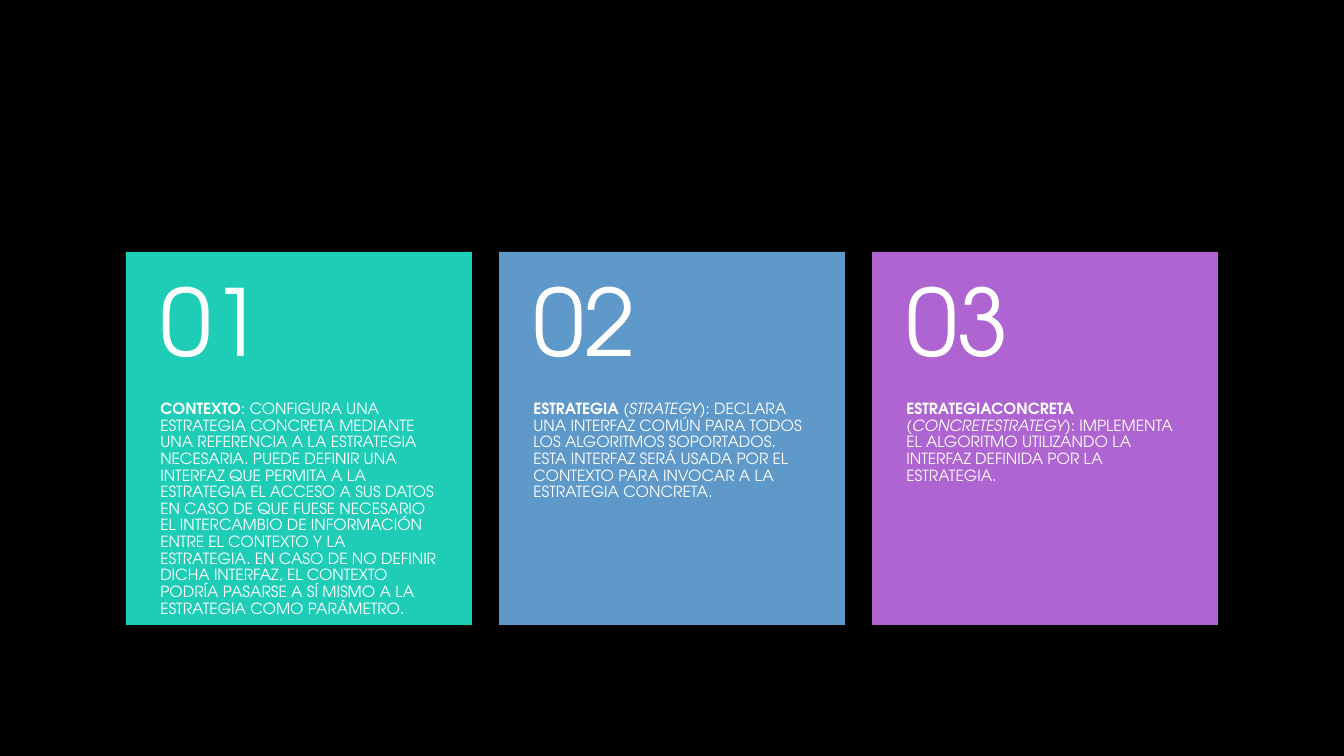
from dataclasses import dataclass

from pptx import Presentation
from pptx.dml.color import RGBColor
from pptx.enum import shapes, text
from pptx.slide import Slide
from pptx.util import Inches, Pt


@dataclass(frozen=True)
class Theme:
    font: str = "TeX Gyre Adventor"
    background: str = "000000"
    ink: str = "FFFFFF"
    teal: str = "1FCDB6"
    blue: str = "5F99C9"
    purple: str = "AE65D1"
    number_size: int = 66
    body_size: int = 11


@dataclass(frozen=True)
class Phrase:
    words: str
    bold: bool = False
    italic: bool = False


@dataclass(frozen=True)
class Card:
    color: str
    phrases: tuple[Phrase, ...]


@dataclass(frozen=True)
class Band:
    """A horizontal strip of a card and how its text sits there."""
    top: float
    height: float
    inset_top: float
    inset_bottom: float
    anchor: text.MSO_ANCHOR
    size: int


THEME = Theme()
CARD_LEFT, CARD_TOP, CARD_WIDTH, CARD_HEIGHT = 1.25, 2.5, 3.43, 3.7
CARD_PITCH = 3.7
SIDE_INSET = 0.34
NUMBER_HEIGHT = 1.48

NUMBER_BAND = Band(CARD_TOP, NUMBER_HEIGHT, 0.18, 0.18,
                   text.MSO_ANCHOR.MIDDLE, THEME.number_size)
BODY_BAND = Band(CARD_TOP + NUMBER_HEIGHT, CARD_HEIGHT - NUMBER_HEIGHT, 0, 0.36,
                 text.MSO_ANCHOR.TOP, THEME.body_size)

CARDS = (
    Card(THEME.teal, (
        Phrase("CONTEXTO", bold=True),
        Phrase(": CONFIGURA UNA ESTRATEGIA CONCRETA MEDIANTE UNA REFERENCIA A LA "
               "ESTRATEGIA NECESARIA. PUEDE DEFINIR UNA INTERFAZ QUE PERMITA A LA "
               "ESTRATEGIA EL ACCESO A SUS DATOS EN CASO DE QUE FUESE NECESARIO EL "
               "INTERCAMBIO DE INFORMACIÓN ENTRE EL CONTEXTO Y LA ESTRATEGIA. EN "
               "CASO DE NO DEFINIR DICHA INTERFAZ, EL CONTEXTO PODRÍA PASARSE A SÍ "
               "MISMO A LA ESTRATEGIA COMO PARÁMETRO."),
    )),
    Card(THEME.blue, (
        Phrase("ESTRATEGIA", bold=True),
        Phrase(" ("),
        Phrase("STRATEGY", italic=True),
        Phrase("): DECLARA UNA INTERFAZ COMÚN PARA TODOS LOS ALGORITMOS SOPORTADOS. "
               "ESTA INTERFAZ SERÁ USADA POR EL CONTEXTO PARA INVOCAR A LA "
               "ESTRATEGIA CONCRETA."),
    )),
    Card(THEME.purple, (
        Phrase("ESTRATEGIACONCRETA", bold=True),
        Phrase(" ("),
        Phrase("CONCRETESTRATEGY", italic=True),
        Phrase("): IMPLEMENTA EL ALGORITMO UTILIZANDO LA INTERFAZ DEFINIDA POR LA "
               "ESTRATEGIA."),
    )),
)


def add_panel(slide: Slide, left: float, color: str) -> None:
    panel = slide.shapes.add_shape(
        shapes.MSO_SHAPE.RECTANGLE, Inches(left), Inches(CARD_TOP),
        Inches(CARD_WIDTH), Inches(CARD_HEIGHT))
    panel.shadow.inherit = False
    panel.fill.solid()
    panel.fill.fore_color.rgb = RGBColor.from_string(color)
    panel.line.fill.background()


def add_band_text(slide: Slide, left: float, band: Band,
                  phrases: tuple[Phrase, ...]) -> None:
    frame = slide.shapes.add_textbox(
        Inches(left), Inches(band.top), Inches(CARD_WIDTH), Inches(band.height)
    ).text_frame
    frame.word_wrap = True
    frame.vertical_anchor = band.anchor
    frame.margin_left = frame.margin_right = Inches(SIDE_INSET)
    frame.margin_top = Inches(band.inset_top)
    frame.margin_bottom = Inches(band.inset_bottom)
    paragraph = frame.paragraphs[0]
    paragraph.line_spacing = 0.9
    for phrase in phrases:
        run = paragraph.add_run()
        run.text = phrase.words
        run.font.name = THEME.font
        run.font.size = Pt(band.size)
        run.font.bold = phrase.bold
        run.font.italic = phrase.italic
        run.font.color.rgb = RGBColor.from_string(THEME.ink)


def main() -> None:
    deck = Presentation()
    deck.slide_width, deck.slide_height = Inches(13.33), Inches(7.5)
    slide = deck.slides.add_slide(deck.slide_layouts.get_by_name("Blank"))
    slide.background.fill.solid()
    slide.background.fill.fore_color.rgb = RGBColor.from_string(THEME.background)
    for index, card in enumerate(CARDS):
        left = CARD_LEFT + index * CARD_PITCH
        add_panel(slide, left, card.color)
        add_band_text(slide, left, BODY_BAND, card.phrases)
        add_band_text(slide, left, NUMBER_BAND, (Phrase(f"{index + 1:02}"),))
    deck.save("out.pptx")


if __name__ == "__main__":
    main()
